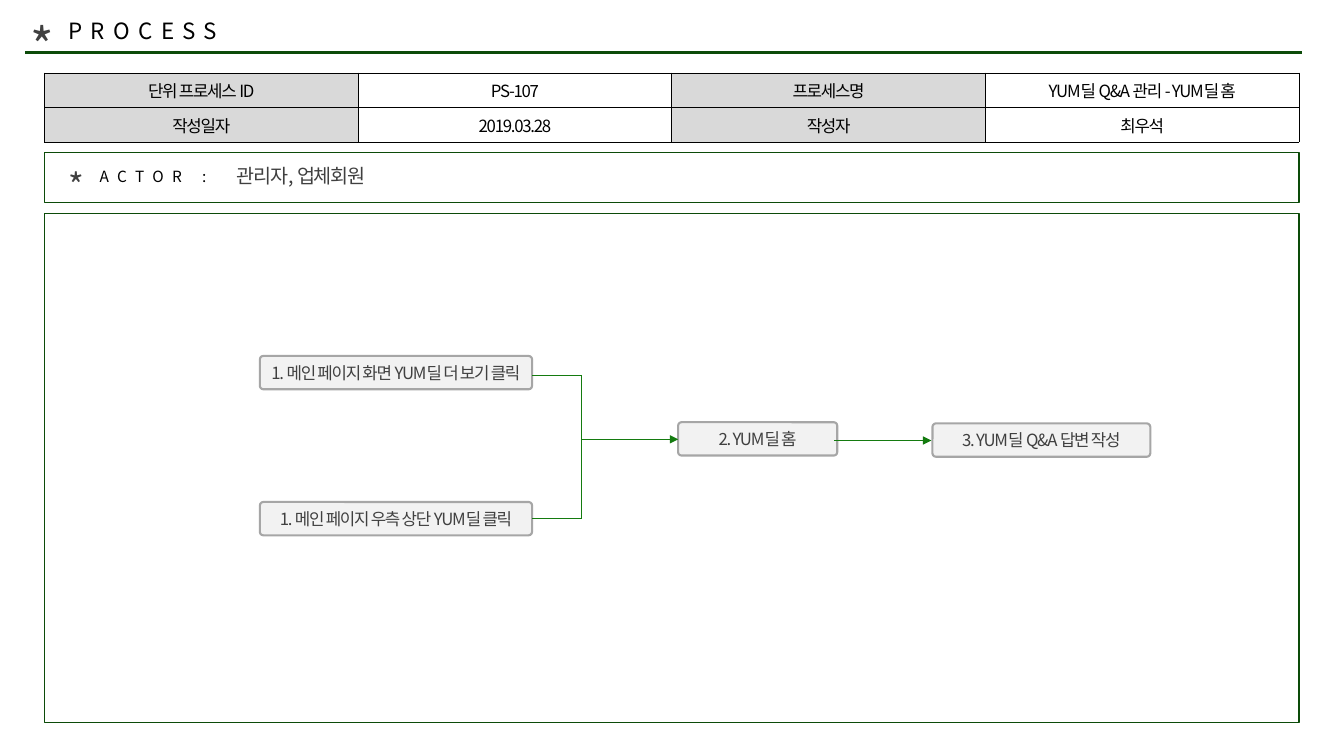
from lxml import etree
from pptx import Presentation
from pptx.dml.color import RGBColor
from pptx.enum.shapes import MSO_CONNECTOR, MSO_SHAPE
from pptx.enum.text import MSO_ANCHOR, MSO_AUTO_SIZE, PP_ALIGN
from pptx.oxml.ns import qn
from pptx.util import Cm, Pt

STRAIGHT = MSO_CONNECTOR.STRAIGHT
RECTANGLE, ROUNDED = MSO_SHAPE.RECTANGLE, MSO_SHAPE.ROUNDED_RECTANGLE
TOP, MIDDLE = MSO_ANCHOR.TOP, MSO_ANCHOR.MIDDLE
LEFT, CENTER = PP_ALIGN.LEFT, PP_ALIGN.CENTER
NO_AUTOFIT = MSO_AUTO_SIZE.NONE
FONT = "Noto Sans CJK KR"
BLACK, GRAY, DARK_GREEN, GREEN = "000000", "404040", "0C4B09", "147B0F"
TIGHT, WIDE = -90, 600  # letter spacing in hundredths of a point
color = RGBColor.from_string


def write(frame, text, size, ink, spacing=TIGHT, align=LEFT):
    frame.text = text
    para = frame.paragraphs[0]
    para.alignment = align
    para.font.size = Pt(size)
    para.font.name = FONT
    para.font.color.rgb = color(ink)
    props = para._p.pPr.find(qn("a:defRPr"))
    props.set("spc", str(spacing))
    etree.SubElement(props, qn("a:ea"), typeface=FONT)


def connect(x1, y1, x2, y2, ink=GREEN, width=0.5, arrow=False):
    line = page.shapes.add_connector(STRAIGHT, Cm(x1), Cm(y1), Cm(x2), Cm(y2))
    line.line.color.rgb = color(ink)
    line.line.width = Pt(width)
    if arrow:
        etree.SubElement(line.line._get_or_add_ln(), qn("a:tailEnd"), type="triangle")
    etree.SubElement(line._element.spPr, qn("a:effectLst"))


deck = Presentation()
deck.slide_width, deck.slide_height = Cm(33.87), Cm(19.05)
page = deck.slides.add_slide(deck.slide_layouts[5])

# Title and its rule
connect(0.64, 1.32, 32.82, 1.32, DARK_GREEN, 2.25)
title = page.shapes.title
title.left, title.top, title.width, title.height = Cm(1.47), Cm(0.3), Cm(10.97), Cm(0.94)
write(title.text_frame, "PROCESS", 16, BLACK, WIDE)
title.text_frame.vertical_anchor = TOP
title.text_frame.auto_size = NO_AUTOFIT

# Process details
details = [
    ["단위 프로세스 ID", "PS-107", "프로세스명", "YUM딜 Q&A 관리 - YUM딜 홈"],
    ["작성일자", "2019.03.28", "작성자", "최우석"],
]
table = page.shapes.add_table(2, 4, Cm(1.12), Cm(1.84), Cm(31.62), Cm(1.55)).table
table.first_row = table.horz_banding = False
for r, values in enumerate(details):
    table.rows[r].height = Cm(0.77)
    for c, value in enumerate(values):
        cell = table.cell(r, c)
        write(cell.text_frame, value, 12, BLACK, align=CENTER)
        cell.vertical_anchor = MIDDLE
        cell_props = cell._tc.get_or_add_tcPr()
        for side in ("a:lnL", "a:lnR", "a:lnT", "a:lnB"):
            border = etree.SubElement(cell_props, qn(side), w=str(Pt(0.5)))
            border_fill = etree.SubElement(border, qn("a:solidFill"))
            etree.SubElement(border_fill, qn("a:srgbClr"), val=BLACK)
        if c % 2 == 0:
            cell.fill.solid()
            cell.fill.fore_color.rgb = color("D9D9D9")
        else:
            cell.fill.background()

# Frames around the actor row and the flow
for top, height in [(3.84, 1.27), (5.38, 12.83)]:
    box = page.shapes.add_shape(RECTANGLE, Cm(1.12), Cm(top), Cm(31.62), Cm(height))
    box.shadow.inherit = False
    box.fill.background()
    box.line.color.rgb = color(DARK_GREEN)
    box.line.width = Pt(1)

# Asterisks and actor labels
labels = [
    ("*", 0.51, 0.25, 1.32, 1.8, 36, GRAY, TIGHT),
    ("*", 1.47, 4.04, 1.32, 1.27, 24, GRAY, TIGHT),
    ("ACTOR :", 2.26, 4.09, 3.38, 0.74, 11, BLACK, WIDE),
    ("관리자, 업체회원", 5.72, 4.01, 10.97, 0.86, 14, GRAY, TIGHT),
]
for text, left, top, width, height, size, ink, spacing in labels:
    box = page.shapes.add_textbox(Cm(left), Cm(top), Cm(width), Cm(height))
    box.text_frame.word_wrap = True
    write(box.text_frame, text, size, ink, spacing)

# Process steps
steps = [
    ("1. 메인 페이지 화면 YUM딜 더 보기 클릭", 6.55, 8.97, 6.86),
    ("1. 메인 페이지 우측 상단 YUM딜 클릭", 6.55, 12.65, 6.86),
    ("2. YUM딜 홈", 17.09, 10.64, 4.01),
    ("3. YUM딜 Q&A 답변 작성", 23.5, 10.67, 5.49),
]
for text, left, top, width in steps:
    box = page.shapes.add_shape(ROUNDED, Cm(left), Cm(top), Cm(width), Cm(0.84))
    box.adjustments[0] = 0.103
    box.shadow.inherit = False
    box.fill.solid()
    box.fill.fore_color.rgb = color("F2F2F2")
    box.line.color.rgb = color("A6A6A6")
    box.line.width = Pt(1.5)
    frame = box.text_frame
    frame.margin_left = frame.margin_right = frame.margin_top = frame.margin_bottom = Cm(0.1)
    frame.vertical_anchor = MIDDLE
    frame.word_wrap = True
    write(frame, text, 12, GRAY, align=CENTER)

# Both entry steps join one trunk, then run on to the right
trunk, upper, lower = 14.66, 9.47, 13.06
for y in (upper, lower):
    connect(13.41, y, trunk, y)
connect(trunk, upper, trunk, lower)
connect(trunk, 11.07, 17.09, 11.07, arrow=True)
connect(21.03, 11.1, 23.47, 11.1, arrow=True)

deck.save("out.pptx")
